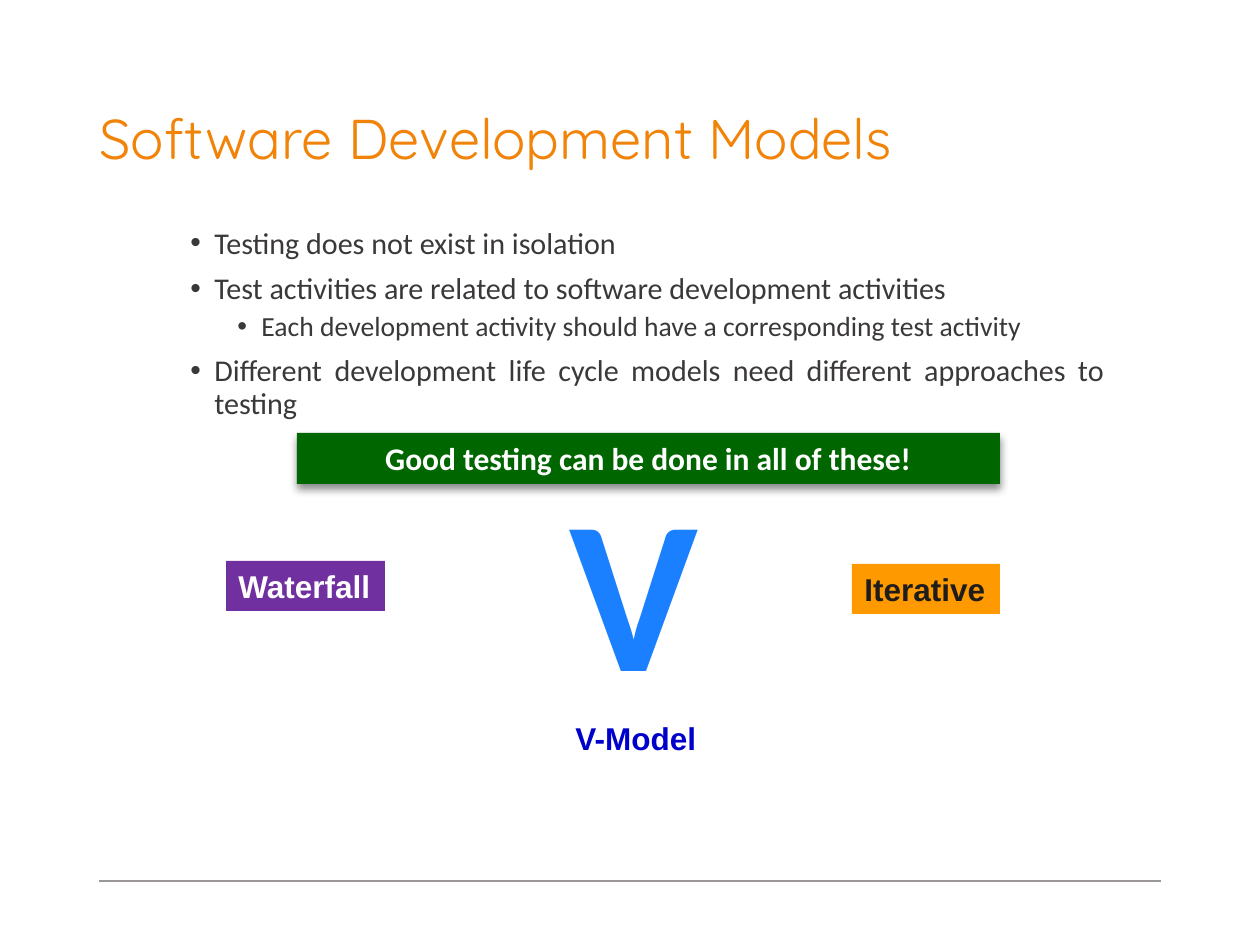
from lxml.etree import SubElement as Sub
from pptx import Presentation
from pptx.dml.color import RGBColor
from pptx.enum.shapes import MSO_CONNECTOR as Line, MSO_SHAPE as Shape
from pptx.enum.text import MSO_ANCHOR as Anchor, PP_ALIGN as Align
from pptx.oxml.ns import qn
from pptx.util import Pt

# Content
TITLE = "Software Development Models"
POINTS = [  # level, text
    (0, "Testing does not exist in isolation"),
    (0, "Test activities are related to software development activities"),
    (1, "Each development activity should have a corresponding test activity"),
    (0, "Different development life cycle models need different approaches to testing"),
]
LEVELS = [(24, 17.2, 7.5), (71, 15.8, 3.8)]  # indent px, size, space before
HANG = 24
LABELS = [  # text, box px, fill, colour, font, size, align, wrap
    ("V", (556, 447, 155, 277), None, "1B80FF", "Calibri", 124.5, Align.CENTER, False),
    ("Good testing can be done in all of these!", (297, 433, 703, 51),
     "006600", "FFFFFF", "Calibri", 18, Align.CENTER, True),
    ("Waterfall", (226, 561, 159, 50), "7030A0", "FFFFFF", "Arial", 18, Align.LEFT, False),
    ("V-Model", (563, 713, 147, 50), None, "0000CC", "Arial", 18, Align.LEFT, False),
    ("Iterative", (852, 564, 148, 50), "FF9900", "1E1C1C", "Arial", 18, Align.LEFT, False),
]
SCALE = 914400 / 126


def px(n):
    return round(n * SCALE)


def rgb(code):
    return RGBColor.from_string(code)


def style(par, face, size, color, bold=False):
    font = par.font
    font.name, font.size, font.bold = face, Pt(size), bold
    font.color.rgb = rgb(color)


def add_text(box, fill=None, wrap=True, anchor=Anchor.TOP):
    place = [px(n) for n in box]
    if fill:
        shape = slide.shapes.add_shape(Shape.RECTANGLE, *place)
        shape.shadow.inherit = False
        shape.fill.solid()
        shape.fill.fore_color.rgb = rgb(fill)
        shape.line.fill.background()
    else:
        shape = slide.shapes.add_textbox(*place)
    frame = shape.text_frame
    frame.word_wrap, frame.vertical_anchor = wrap, anchor
    return shape


def add_bullet(par, indent):
    props = par._p.get_or_add_pPr()
    props.set("marL", str(px(indent)))
    props.set("indent", str(-px(HANG)))
    Sub(props, qn("a:buFont"), typeface="Arial")
    Sub(props, qn("a:buChar"), char="•")


def add_shadow(shape):
    effects = shape._element.spPr.find(qn("a:effectLst"))
    outer = Sub(effects, qn("a:outerShdw"), blurRad=str(Pt(5)), dist=str(Pt(3)),
                dir="5400000", rotWithShape="0")
    black = Sub(outer, qn("a:srgbClr"), val="000000")
    Sub(black, qn("a:alpha"), val="45000")


deck = Presentation()
deck.slide_width, deck.slide_height = px(1260), px(945)
slide = deck.slides.add_slide(deck.slide_layouts[6])

# Footer rule
rule = slide.shapes.add_connector(Line.STRAIGHT, px(99), px(881), px(1161), px(881))
rule.line.color.rgb = rgb("9B9797")
rule.line.width = Pt(1)
Sub(rule._element.spPr, qn("a:effectLst"))

# Title
par = add_text((87, 50, 1086, 183), anchor=Anchor.MIDDLE).text_frame.paragraphs[0]
par.text, par.line_spacing = TITLE, 0.9
style(par, "Quicksand", 32, "F18309")

# Bullet points
frame = add_text((178, 222, 938, 558)).text_frame
for i, (level, text) in enumerate(POINTS):
    par = frame.add_paragraph() if i else frame.paragraphs[0]
    indent, size, gap = LEVELS[level]
    par.text, par.level, par.alignment = text, level, Align.JUSTIFY
    par.line_spacing, par.space_before = 0.9, Pt(gap)
    add_bullet(par, indent)
    style(par, "Calibri", size, "3B3838")

# Banner and model labels
for text, box, fill, color, face, size, align, wrap in LABELS:
    shape = add_text(box, fill, wrap)
    par = shape.text_frame.paragraphs[0]
    par.text, par.alignment = text, align
    style(par, face, size, color, True)
    if fill and wrap:
        add_shadow(shape)

deck.save("out.pptx")
